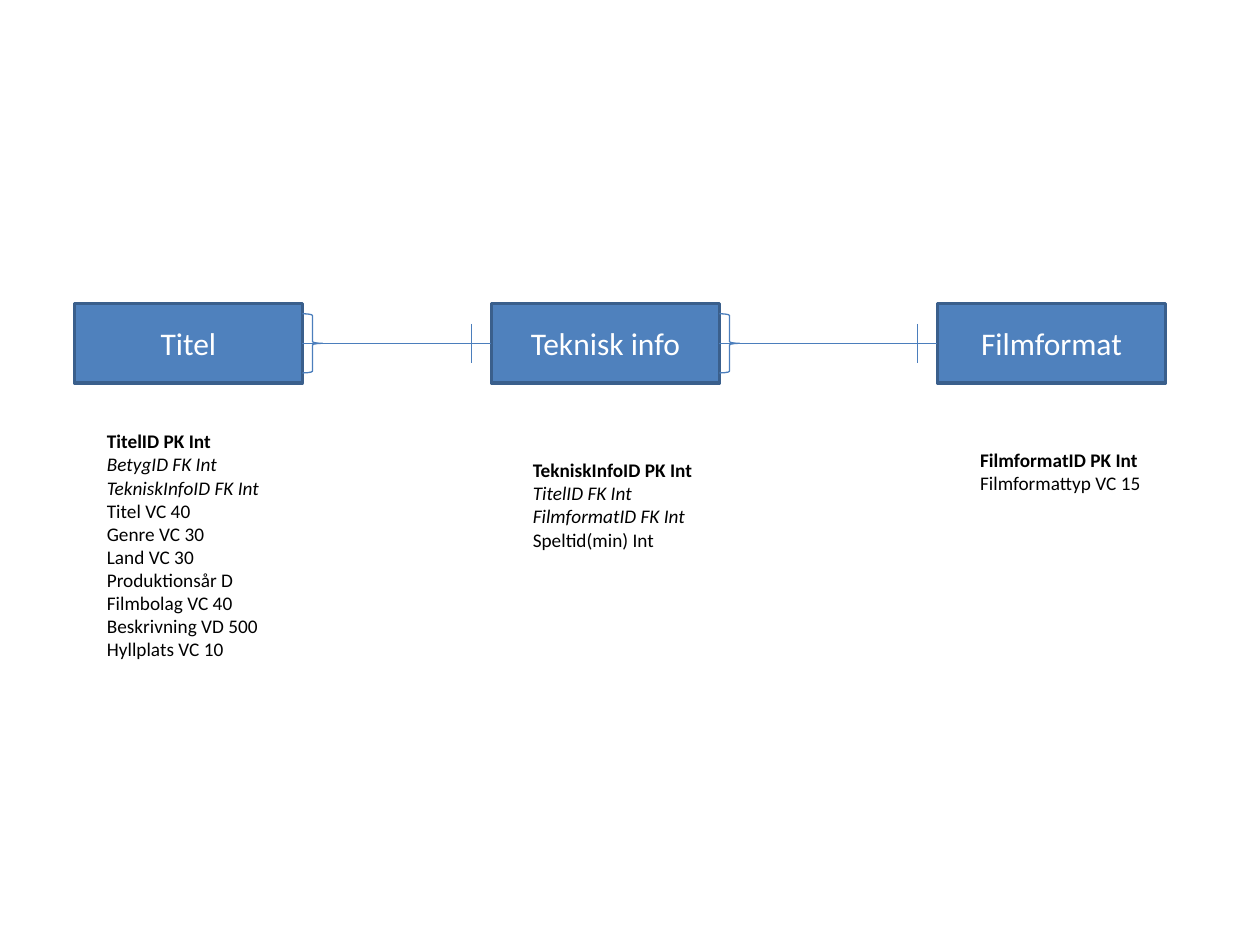
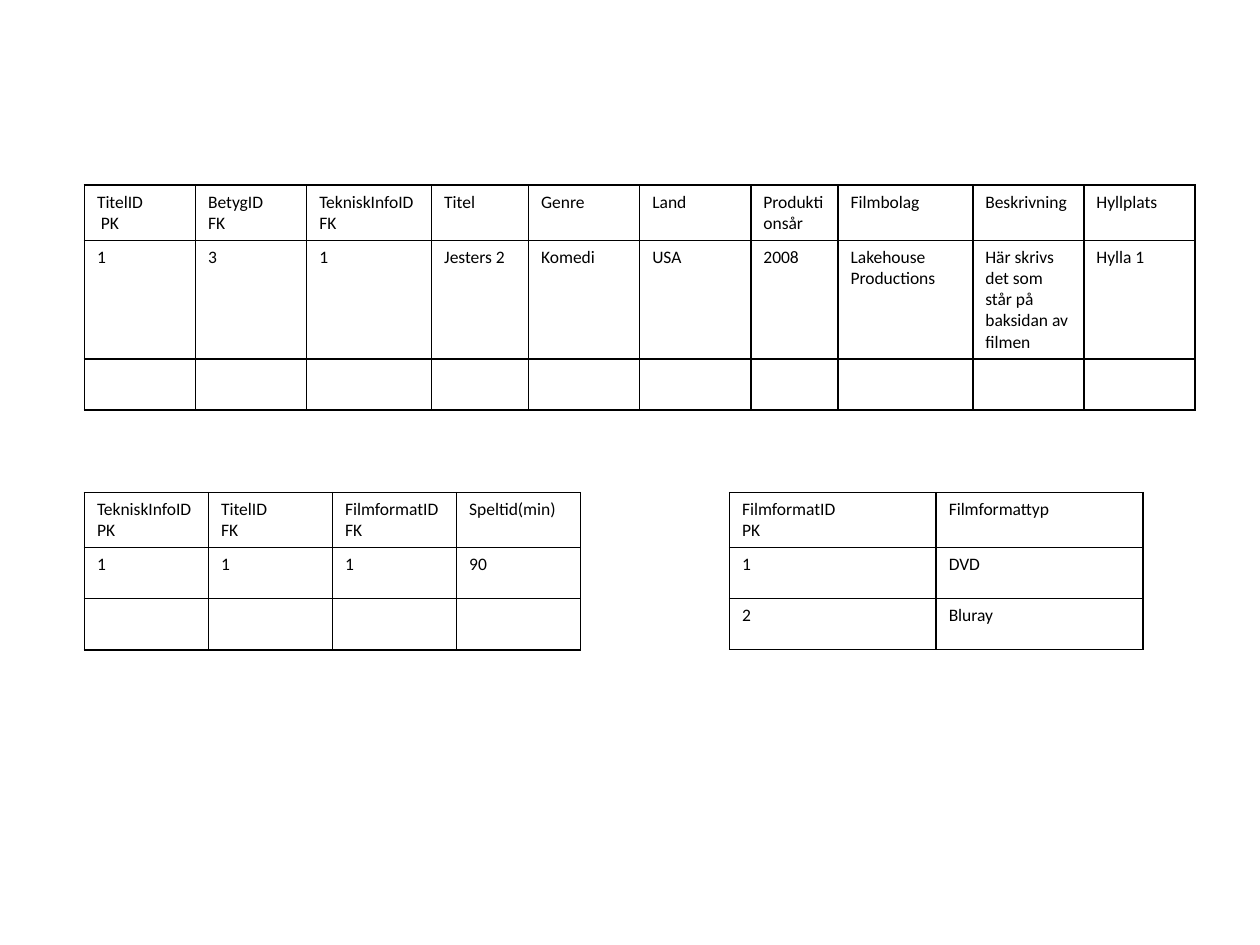
from dataclasses import dataclass
from itertools import pairwise

from lxml.etree import SubElement
from pptx import Presentation
from pptx.dml.color import RGBColor
from pptx.enum.shapes import MSO_CONNECTOR as Line, MSO_SHAPE as Shape
from pptx.enum.text import MSO_ANCHOR as Anchor, MSO_AUTO_SIZE as AutoSize, PP_ALIGN as Align
from pptx.oxml import parse_xml
from pptx.oxml.ns import nsdecls, qn
from pptx.util import Inches, Pt

BLUE = RGBColor(0x4F, 0x81, 0xBD)
BLUE_EDGE = RGBColor(0x3A, 0x5F, 0x8C)
BLUE_LINE = RGBColor(0x4B, 0x7E, 0xBC)
BLACK = RGBColor(0, 0, 0)
WHITE = RGBColor(0xFF, 0xFF, 0xFF)
FONT = "Calibri"

SLIDE_WIDTH, SLIDE_HEIGHT = Inches(10), Inches(7.5)
COLUMNS, ROWS = 100, 75
RIGHT_SIDE, LEFT_SIDE = 3, 1

ENTITY_TOP, ENTITY_WIDTH, ENTITY_HEIGHT = 24.1, 18.1, 6.3
MARK_GAP, BRACE_HEIGHT, TICK_HEIGHT = 1.6, 4.7, 3.1

ENTITIES = [
    ("Titel", 5.9, (7.5, 33.6, 14.3, 19.5), [
        "TitelID PK Int", "BetygID FK Int", "TekniskInfoID FK Int", "Titel VC 40",
        "Genre VC 30", "Land VC 30", "Produktionsår D", "Filmbolag VC 40",
        "Beskrivning VD 500", "Hyllplats VC 10"]),
    ("Teknisk info", 39, (41.3, 35.9, 14.9, 8.4), [
        "TekniskInfoID PK Int", "TitelID FK Int", "FilmformatID FK Int",
        "Speltid(min) Int"]),
    ("Filmformat", 74.4, (76.8, 35.1, 14.9, 4.7), [
        "FilmformatID PK Int", "Filmformattyp VC 15"]),
]

TITLE_ROWS = [
    ["TitelID\n PK", "BetygID\nFK", "TekniskInfoID FK", "Titel", "Genre", "Land",
     "Produktionsår", "Filmbolag", "Beskrivning", "Hyllplats"],
    ["1", "3", "1", "Jesters 2", "Komedi", "USA", "2008", "Lakehouse\nProductions",
     "Här skrivs det som står på baksidan av filmen", "Hylla 1"],
    [""] * 10,
]
TECHNICAL_ROWS = [
    ["TekniskInfoID\nPK", "TitelID\nFK", "FilmformatID\nFK", "Speltid(min)"],
    ["1", "1", "1", "90"],
    [""] * 4,
]
FORMAT_ROWS = [["FilmformatID\nPK", "Filmformattyp"], ["1", "DVD"], ["2", "Bluray"]]
TITLE_COLUMNS = [8.82, 8.82, 9.92, 7.7, 8.82, 8.82, 6.92, 10.7, 8.82, 8.82]


@dataclass
class Box:
    """A rectangle measured in grid columns and rows."""
    left: float
    top: float
    width: float
    height: float

    @property
    def right(self):
        """Return the column of the right edge."""
        return self.left + self.width

    @property
    def middle(self):
        """Return the row halfway down."""
        return self.top + self.height / 2

    def lengths(self):
        """Return the left, top, width and height as slide lengths."""
        return across(self.left), down(self.top), across(self.width), down(self.height)


def across(columns):
    """Turn grid columns into a slide length."""
    return int(SLIDE_WIDTH * columns / COLUMNS)


def down(rows):
    """Turn grid rows into a slide length."""
    return int(SLIDE_HEIGHT * rows / ROWS)


def style_text(frame, size, color):
    """Format every run in a text frame."""
    for para in frame.paragraphs:
        for span in para.runs:
            span.font.name = FONT
            span.font.size = Pt(size)
            span.font.color.rgb = color


def add_line(page, column_from, row_from, column_to, row_to):
    """Draw a thin line without a shadow."""
    line = page.shapes.add_connector(
        Line.STRAIGHT, across(column_from), down(row_from), across(column_to), down(row_to))
    line.line.color.rgb = BLUE_LINE
    line.line.width = Pt(0.75)
    SubElement(line._element.spPr, qn("a:effectLst"))
    return line


def add_entity(page, box, name):
    """Draw one named entity."""
    entity = page.shapes.add_shape(Shape.RECTANGLE, *box.lengths())
    entity.shadow.inherit = False
    entity.fill.solid()
    entity.fill.fore_color.rgb = BLUE
    entity.line.color.rgb = BLUE_EDGE
    entity.line.width = Pt(2)
    frame = entity.text_frame
    frame.text = name
    frame.vertical_anchor = Anchor.MIDDLE
    frame.paragraphs[0].alignment = Align.CENTER
    style_text(frame, 18, WHITE)
    return entity


def add_fields(page, box, fields):
    """List an entity's fields, primary keys bold and foreign keys italic."""
    frame = page.shapes.add_textbox(*box.lengths()).text_frame
    frame.word_wrap = False
    frame.auto_size = AutoSize.SHAPE_TO_FIT_TEXT
    frame.text = "\n".join(fields)
    style_text(frame, 11, BLACK)
    for para in frame.paragraphs:
        para.font.bold = para.runs[0].font.bold = " PK " in para.text
        para.font.italic = para.runs[0].font.italic = " FK " in para.text


def add_relation(page, many, many_box, one, one_box):
    """Join two entities with a brace at the many end and a tick at the one end."""
    middle = many_box.middle
    line = add_line(page, many_box.right, middle, one_box.left, middle)
    line.begin_connect(many, RIGHT_SIDE)
    line.end_connect(one, LEFT_SIDE)
    brace_box = Box(many_box.right, middle - BRACE_HEIGHT / 2, MARK_GAP, BRACE_HEIGHT)
    brace = page.shapes.add_shape(Shape.RIGHT_BRACE, *brace_box.lengths())
    brace.shadow.inherit = False
    brace.fill.background()
    brace.line.color.rgb = BLUE_LINE
    brace.line.width = Pt(0.75)
    tick = one_box.left - MARK_GAP
    add_line(page, tick, middle - TICK_HEIGHT / 2, tick, middle + TICK_HEIGHT / 2)


def border_cell(cell):
    """Give a cell four thin black borders."""
    properties = cell._tc.get_or_add_tcPr()
    for position, side in enumerate("LRTB"):
        properties.insert(position, parse_xml(
            f'<a:ln{side} {nsdecls("a")} w="{Pt(1)}"><a:solidFill>'
            f'<a:srgbClr val="{BLACK}"/></a:solidFill></a:ln{side}>'))


def add_grid(page, box, rows, widths):
    """Draw a plain bordered table."""
    table = page.shapes.add_table(len(rows), len(widths), *box.lengths()).table
    table.first_row = table.horz_banding = False
    for column, width in zip(table.columns, widths):
        column.width = across(width)
    for row, texts in zip(table.rows, rows):
        row.height = down(box.height / len(rows))
        for cell, text in zip(row.cells, texts):
            cell.fill.background()
            border_cell(cell)
            if text:
                cell.text_frame.text = text
                style_text(cell.text_frame, 10, BLACK)


def build_diagram(page):
    """Place the entities, their fields and their relations."""
    placed = []
    for name, left, field_place, fields in ENTITIES:
        box = Box(left, ENTITY_TOP, ENTITY_WIDTH, ENTITY_HEIGHT)
        placed.append((add_entity(page, box, name), box))
        add_fields(page, Box(*field_place), fields)
    for many, one in pairwise(placed):
        add_relation(page, *many, *one)


def build_tables(page):
    """Place the three sample tables."""
    add_grid(page, Box(6.7, 14.7, sum(TITLE_COLUMNS), 12), TITLE_ROWS, TITLE_COLUMNS)
    add_grid(page, Box(6.7, 39.1, 39.4, 12.15), TECHNICAL_ROWS, [39.4 / 4] * 4)
    add_grid(page, Box(57.9, 39.1, 32.8, 12.15), FORMAT_ROWS, [32.8 / 2] * 2)


def main():
    """Build and save the deck."""
    deck = Presentation()
    deck.slide_width, deck.slide_height = SLIDE_WIDTH, SLIDE_HEIGHT
    for build in (build_diagram, build_tables):
        build(deck.slides.add_slide(deck.slide_layouts[6]))
    deck.save("out.pptx")


if __name__ == "__main__":
    main()
